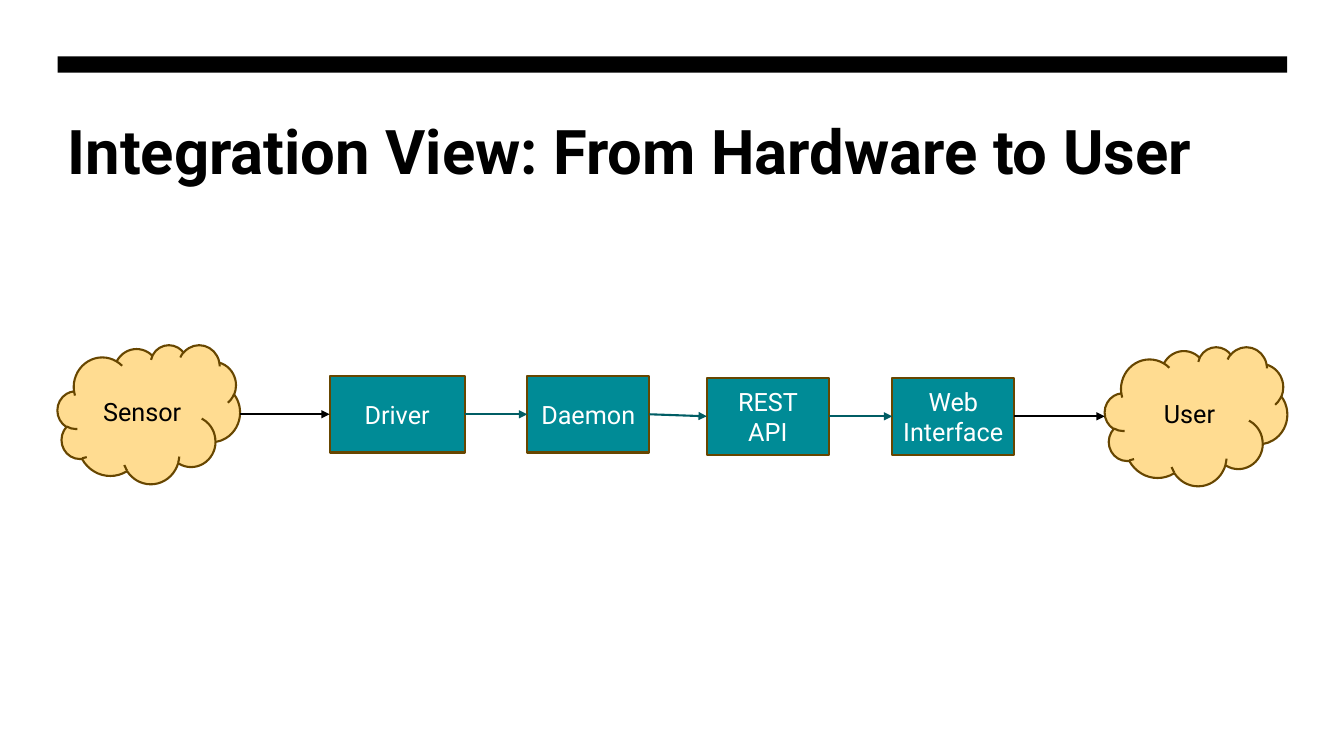
import pptx
import pptx.util
import pptx.dml.color
import pptx.enum.shapes
import pptx.enum.text
import lxml.etree

ink = {"black": "000000", "white": "FFFFFF", "teal": "008B96",
       "deep": "005D64", "sand": "FFDC91", "brown": "674600"}
kinds = pptx.enum.shapes.MSO_SHAPE
text = pptx.enum.text

deck = pptx.Presentation()
deck.slide_width = pptx.util.Inches(13.333)
deck.slide_height = pptx.util.Inches(7.5)
slide = deck.slides.add_slide(deck.slide_layouts[5])
shapes = slide.shapes


def area(left, top, wide, high):
    """Turn percent of the slide's size into lengths."""
    sizes = (deck.slide_width, deck.slide_height) * 2
    return [round(size * part / 100)
            for size, part in zip(sizes, (left, top, wide, high))]


def label(shape, words, look, align):
    frame = shape.text_frame
    frame.word_wrap = True
    frame.text = words
    para = frame.paragraphs[0]
    para.alignment = align
    for key, value in look.items():
        if key == "color":
            para.font.color.rgb = pptx.dml.color.RGBColor.from_string(ink[value])
        else:
            setattr(para.font, key, value)


# Heading: margin and width are shared by the bar, title and flow
edge, span = 4.28, 91.5
bar = shapes.add_shape(kinds.RECTANGLE, *area(edge, 7.47, span, 2.13))
bar.shadow.inherit = False
bar.fill.solid()
bar.fill.fore_color.rgb = pptx.dml.color.RGBColor.from_string(ink["black"])
bar.line.fill.background()

title = shapes.title
for name, value in zip(("left", "top", "width", "height"),
                       area(edge, 14.27, span, 21.33)):
    setattr(title, name, value)
label(title, "Integration View: From Hardware to User",
      {"name": "Roboto", "size": pptx.util.Pt(44), "bold": True, "color": "black"},
      text.PP_ALIGN.LEFT)
title.text_frame.vertical_anchor = text.MSO_ANCHOR.TOP
title.text_frame.auto_size = text.MSO_AUTO_SIZE.NONE

# Flow: each kind has a shape, height, fill and font colour
styles = {"cloud": (kinds.CLOUD, 18.4, "sand", "black"),
          "box": (kinds.RECTANGLE, 10.13, "teal", "white")}
cloud, small = 13.58, 9.08
high, low = 54.8, 55.07
steps = [("Sensor", "cloud", edge, cloud, high),
         ("Driver", "box", 24.53, 10.05, high),
         ("Daemon", "box", 39.23, small, high),
         ("REST API", "box", 52.59, small, low),
         ("Web Interface", "box", 66.39, small, low),
         ("User", "cloud", edge + span - cloud, cloud, low)]

nodes = []
for words, kind, left, wide, mid in steps:
    form, tall, fill, font = styles[kind]
    node = shapes.add_shape(form, *area(left, mid - tall / 2, wide, tall))
    node.shadow.inherit = False
    node.fill.solid()
    node.fill.fore_color.rgb = pptx.dml.color.RGBColor.from_string(ink[fill])
    node.line.color.rgb = pptx.dml.color.RGBColor.from_string(ink["brown"])
    node.line.width = pptx.util.Pt(1.5)
    label(node, words,
          {"name": "Roboto", "size": pptx.util.Pt(18), "color": font},
          text.PP_ALIGN.CENTER)
    node.text_frame.vertical_anchor = text.MSO_ANCHOR.MIDDLE
    nodes.append((node, kind))

# Arrows: black next to a cloud, joined wherever they meet a box
for (start, first), (end, last) in zip(nodes, nodes[1:]):
    arrow = shapes.add_connector(
        pptx.enum.shapes.MSO_CONNECTOR.STRAIGHT,
        start.left + start.width, start.top + start.height // 2,
        end.left, end.top + end.height // 2)
    if first == "box":
        arrow.begin_connect(start, 3)
    if last == "box":
        arrow.end_connect(end, 1)
    tone = "black" if "cloud" in (first, last) else "deep"
    arrow.line.color.rgb = pptx.dml.color.RGBColor.from_string(ink[tone])
    arrow.line.width = pptx.util.Pt(1.5)
    props = arrow.line._get_or_add_ln()
    space = lxml.etree.QName(props).namespace
    tip = lxml.etree.SubElement(props, f"{{{space}}}tailEnd")
    tip.set("type", "triangle")
    lxml.etree.SubElement(props.getparent(), f"{{{space}}}effectLst")

deck.save("out.pptx")
